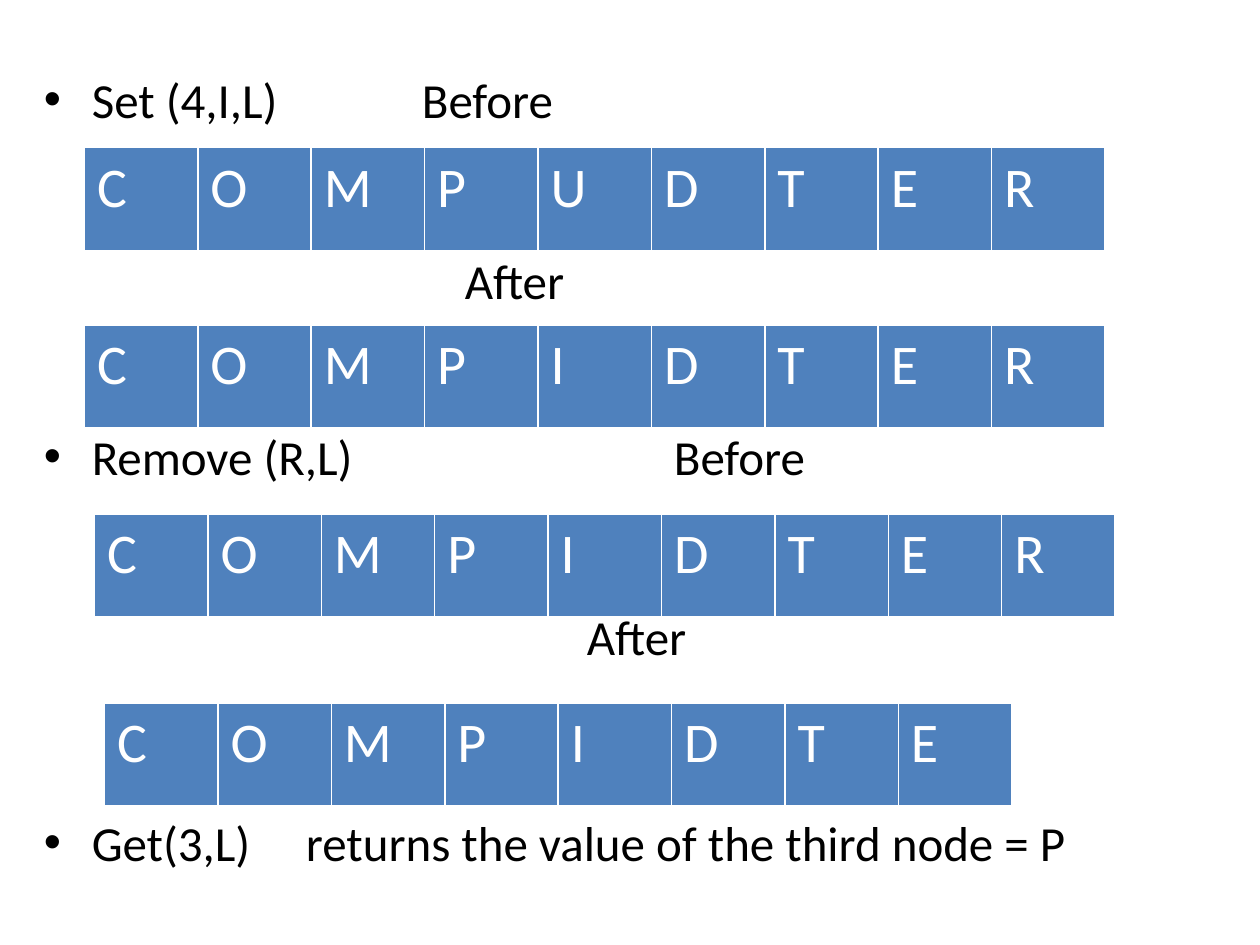
from dataclasses import dataclass

from lxml import etree
from pptx import Presentation
from pptx.dml.color import RGBColor
from pptx.oxml.ns import qn
from pptx.util import Inches, Pt


@dataclass(frozen=True)
class Theme:
    font: str = "Calibri"
    ink: str = "000000"
    cell_ink: str = "FFFFFF"
    cell_fill: str = "4F81BD"
    border: str = "FFFFFF"
    body_size: int = 28
    cell_size: int = 32


THEME = Theme()
CELL_WIDTH, CELL_HEIGHT = 0.9, 0.83
BULLET_INDENT = 0.38

# text, space before (points), bulleted, tab stop or left margin (inches)
LINES = [
    ("Set (4,I,L)\tBefore", 0, True, 3.0),
    ("After", 70, False, 3.34),
    ("Remove (R,L)\tBefore", 67, True, 5.0),
    ("After", 69, False, 4.31),
    ("Get(3,L)\treturns the value of the third node = P", 84, True, 2.08),
]

# letters, left, top (inches)
LISTS = [
    ("COMPUDTER", 0.67, 1.17),
    ("COMPIDTER", 0.67, 2.58),
    ("COMPIDTER", 0.75, 4.08),
    ("COMPIDTE", 0.83, 5.58),
]


def style_font(font, size, color):
    font.name = THEME.font
    font.size = Pt(size)
    font.bold = False
    font.color.rgb = RGBColor.from_string(color)


def set_bullet(p, tab):
    """Give the paragraph a hanging bullet and one tab stop."""
    pPr = p._p.get_or_add_pPr()
    pPr.set("marL", str(Inches(BULLET_INDENT)))
    pPr.set("indent", str(-Inches(BULLET_INDENT)))
    etree.SubElement(pPr, qn("a:buFont"), typeface="Arial")
    etree.SubElement(pPr, qn("a:buChar"), char="•")
    tabs = etree.SubElement(pPr, qn("a:tabLst"))
    etree.SubElement(tabs, qn("a:tab"), pos=str(Inches(tab)), algn="l")


def add_operations(slide):
    box = slide.shapes.add_textbox(Inches(0.25), Inches(0.5), Inches(9.25), Inches(6.75))
    tf = box.text_frame
    tf.word_wrap = True
    for i, (line, space, bulleted, offset) in enumerate(LINES):
        p = tf.paragraphs[0] if i == 0 else tf.add_paragraph()
        p.text = line
        if bulleted:
            set_bullet(p, offset)
        else:
            p._p.get_or_add_pPr().set("marL", str(Inches(offset)))
        p.space_before = Pt(space)
        for r in p.runs:
            style_font(r.font, THEME.body_size, THEME.ink)


def set_borders(cell):
    tcPr = cell._tc.get_or_add_tcPr()
    for i, (side, width) in enumerate([("L", 1), ("R", 1), ("T", 1), ("B", 3)]):
        ln = etree.Element(qn(f"a:ln{side}"), w=str(Pt(width)))
        fill = etree.SubElement(ln, qn("a:solidFill"))
        etree.SubElement(fill, qn("a:srgbClr"), val=THEME.border)
        tcPr.insert(i, ln)


def add_letter_list(slide, letters, left, top):
    frame = slide.shapes.add_table(
        1, len(letters), Inches(left), Inches(top),
        Inches(CELL_WIDTH * len(letters)), Inches(CELL_HEIGHT))
    table = frame.table
    for column, cell, letter in zip(table.columns, table.rows[0].cells, letters):
        column.width = Inches(CELL_WIDTH)
        cell.text_frame.text = letter
        style_font(cell.text_frame.paragraphs[0].runs[0].font,
                   THEME.cell_size, THEME.cell_ink)
        cell.fill.solid()
        cell.fill.fore_color.rgb = RGBColor.from_string(THEME.cell_fill)
        set_borders(cell)


def main():
    prs = Presentation()
    prs.slide_width, prs.slide_height = Inches(10), Inches(7.5)
    slide = prs.slides.add_slide(prs.slide_layouts[6])
    add_operations(slide)
    for letters, left, top in LISTS:
        add_letter_list(slide, letters, left, top)
    prs.save("out.pptx")


if __name__ == "__main__":
    main()
